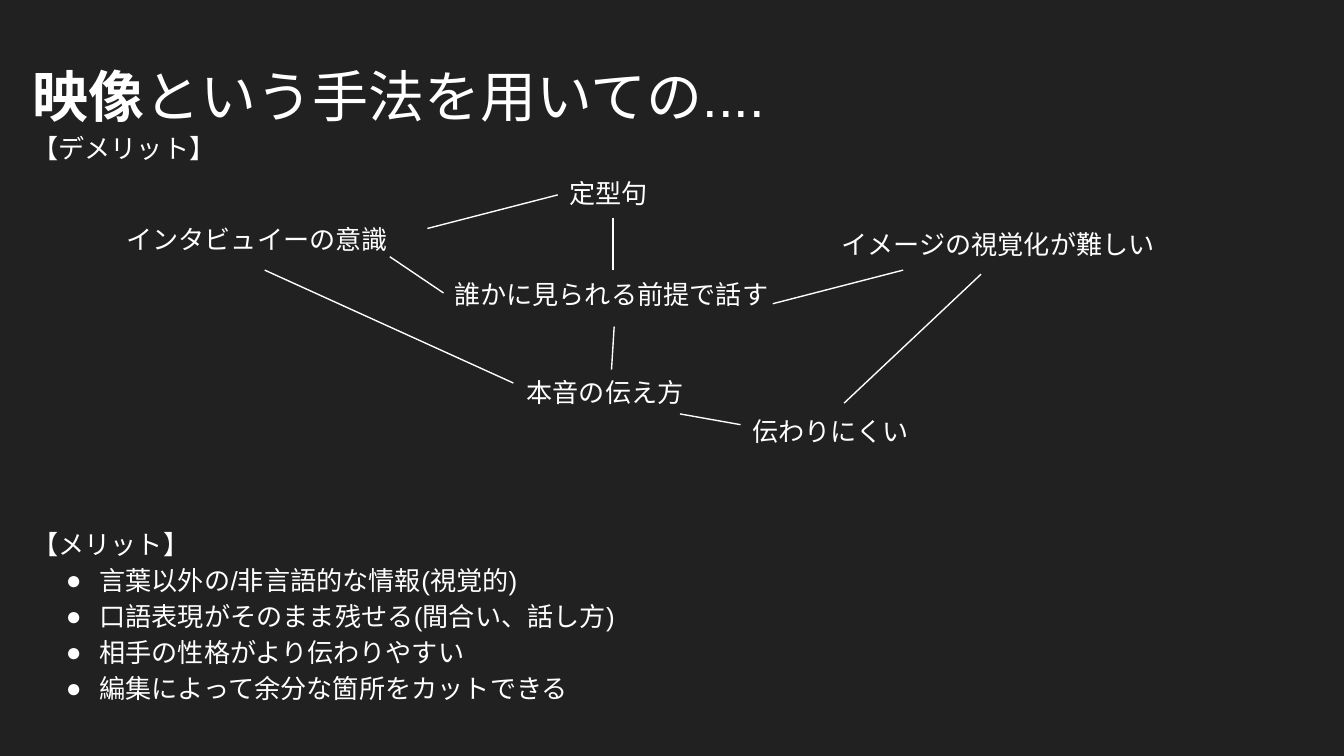
from lxml import etree
from pptx import Presentation
from pptx.dml.color import RGBColor
from pptx.enum import shapes, text
from pptx.oxml.ns import qn
from pptx.util import Inches, Pt

WHITE, DARK = "FFFFFF", "212121"
FONT = "Arial"

LABELS = [  # wording, left, top, width
    ("誰かに見られる前提で話す", 3.28, 1.97, 2.58),
    ("定型句", 4.14, 1.22, 2.58),
    ("本音の伝え方", 3.82, 2.7, 2.58),
    ("インタビュイーの意識", 0.84, 1.56, 2.58),
    ("イメージの視覚化が難しい", 6.16, 1.6, 3.05),
    ("伝わりにくい", 5.5, 2.99, 2.58),
]
LINKS = [  # start x, start y, end x, end y
    (3.18, 1.7, 4.15, 1.45),
    (3.82, 2.85, 1.97, 2.01),
    (4.56, 2.01, 4.56, 1.62),
    (4.55, 2.75, 4.57, 2.43),
    (6.28, 3, 7.3, 2.04),
    (5.75, 2.26, 6.72, 2.01),
    (5.51, 3.16, 5.06, 3.08),
    (3.3, 2.18, 2.9, 1.91),
]
MERITS = [
    "言葉以外の/非言語的な情報(視覚的)",
    "口語表現がそのまま残せる(間合い、話し方)",
    "相手の性格がより伝わりやすい",
    "編集によって余分な箇所をカットできる",
]


def color(value):
    return RGBColor.from_string(value)


def add_span(para, wording, size=14, bold=False):
    span = para.add_run()
    span.text = wording
    for name, value in dict(name=FONT, size=Pt(size), bold=bold).items():
        setattr(span.font, name, value)
    span.font.color.rgb = color(WHITE)
    etree.SubElement(span.font._element, qn("a:ea"), typeface=FONT)


def format_frame(frame):
    settings = dict(word_wrap=True, auto_size=text.MSO_AUTO_SIZE.NONE,
                    vertical_anchor=text.MSO_ANCHOR.TOP)
    margins = dict.fromkeys(
        ("margin_left", "margin_top", "margin_right", "margin_bottom"), Inches(0.1))
    for name, value in {**settings, **margins}.items():
        setattr(frame, name, value)


def format_para(para, before=0):
    settings = dict(alignment=text.PP_ALIGN.LEFT, line_spacing=1.15,
                    space_before=Pt(before), space_after=Pt(0))
    for name, value in settings.items():
        setattr(para, name, value)


def set_bullet(para, mark=None):
    props = para._p.get_or_add_pPr()
    props.set("marL", str(Inches(0.5 if mark else 0)))
    props.set("indent", str(Inches(-0.25 if mark else 0)))
    if mark:
        fill = etree.SubElement(props, qn("a:buClr"))
        etree.SubElement(fill, qn("a:srgbClr"), val=WHITE)
        etree.SubElement(props, qn("a:buFont"), typeface=FONT)
        etree.SubElement(props, qn("a:buChar"), char=mark)
    else:
        etree.SubElement(props, qn("a:buNone"))


def place(shape, left, top, width, height):
    shape.left, shape.top = Inches(left), Inches(top)
    shape.width, shape.height = Inches(width), Inches(height)
    format_frame(shape.text_frame)


def fill_title(page, left, top, width, height):
    title = page.shapes.title
    place(title, left, top, width, height)
    para = title.text_frame.paragraphs[0]
    format_para(para)
    add_span(para, "映像", 30, True)
    add_span(para, "という手法を用いての....", 30)


def fill_lists(page, left, top, width, height):
    body = page.placeholders[1]
    place(body, left, top, width, height)
    frame = body.text_frame
    # The space before the second heading leaves room for the diagram
    rows = [("【デメリット】", 0, None), ("【メリット】", 193, None)]
    rows += [(merit, 0, "●") for merit in MERITS]
    for index, (wording, before, mark) in enumerate(rows):
        para = frame.add_paragraph() if index else frame.paragraphs[0]
        format_para(para, before)
        set_bullet(para, mark)
        add_span(para, wording)


def add_diagram(page, left, top):
    # Links between the ideas
    for x1, y1, x2, y2 in LINKS:
        link = page.shapes.add_connector(
            shapes.MSO_CONNECTOR.STRAIGHT, Inches(left + x1), Inches(top + y1),
            Inches(left + x2), Inches(top + y2))
        link.line.color.rgb = color(WHITE)
        link.line.width = Pt(0.75)
        etree.SubElement(link._element.spPr, qn("a:effectLst"))
    # Ideas
    for wording, x, y, width in LABELS:
        box = page.shapes.add_textbox(
            Inches(left + x), Inches(top + y), Inches(width), Inches(0.93))
        format_frame(box.text_frame)
        add_span(box.text_frame.paragraphs[0], wording)


def main():
    deck = Presentation()
    # Widescreen, 16:9
    deck.slide_width = Inches(10)
    deck.slide_height = deck.slide_width * 9 // 16
    page = deck.slides.add_slide(deck.slide_layouts[1])
    page.background.fill.solid()
    page.background.fill.fore_color.rgb = color(DARK)
    fill_title(page, 0.14, 0.28, 8.98, 0.77)
    fill_lists(page, 0.14, 0.85, 8.98, 4.68)
    add_diagram(page, 0, 0)
    deck.save("out.pptx")


if __name__ == "__main__":
    main()
